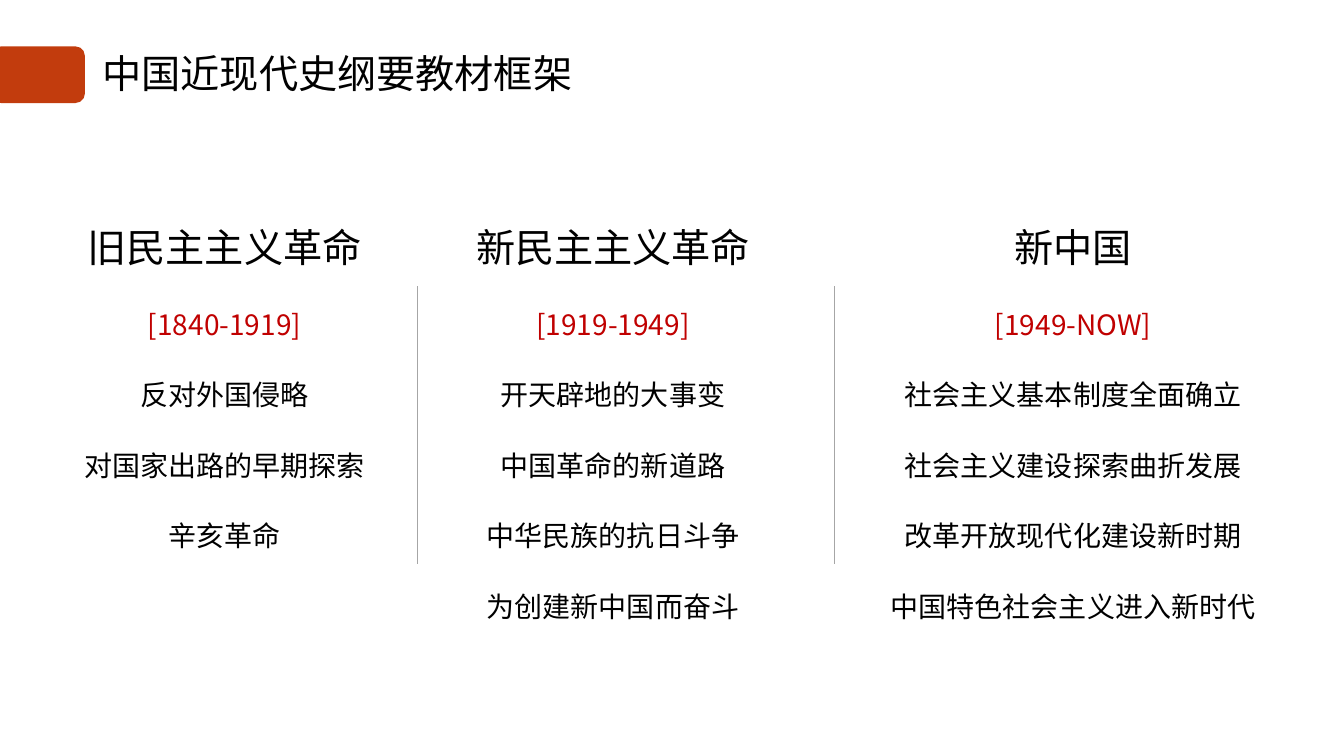
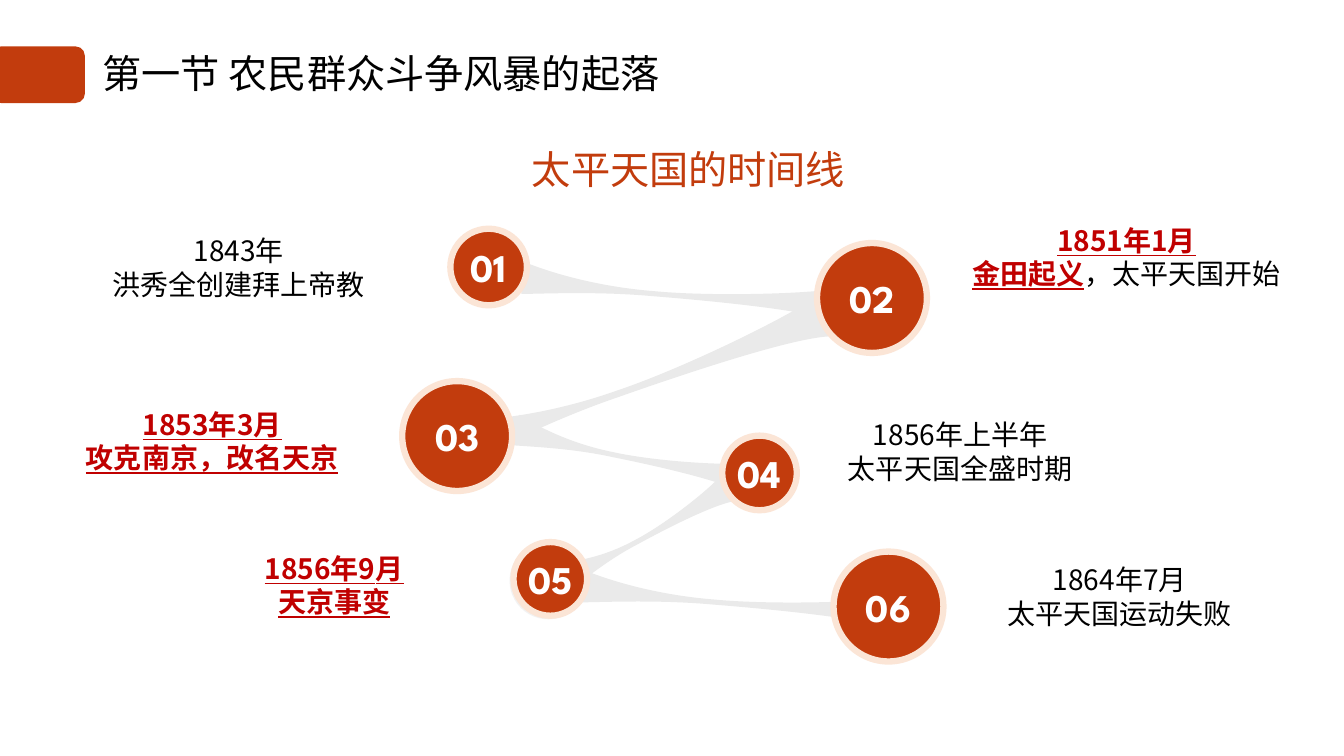
import pptx
import pptx.dml.color
import pptx.enum.shapes
import pptx.enum.text
import pptx.oxml.ns
import pptx.util
from lxml import etree

Pt = pptx.util.Pt
qn = pptx.oxml.ns.qn
RGBColor = pptx.dml.color.RGBColor
Shape = pptx.enum.shapes.MSO_SHAPE
Anchor = pptx.enum.text.MSO_ANCHOR
AutoSize = pptx.enum.text.MSO_AUTO_SIZE
CENTER = pptx.enum.text.PP_ALIGN.CENTER
LEFT = pptx.enum.text.PP_ALIGN.LEFT

RUST = RGBColor(0xC2, 0x3C, 0x0D)
PEACH = RGBColor(0xFB, 0xE5, 0xD6)
RED = RGBColor(0xC0, 0x00, 0x00)
BLACK = RGBColor(0x00, 0x00, 0x00)
WHITE = RGBColor(0xFF, 0xFF, 0xFF)
PALE_GRAY = RGBColor(0xF2, 0xF2, 0xF2)
RIBBON_GRAY = RGBColor(0xEA, 0xEA, 0xEA)
DIVIDER_GRAY = RGBColor(0xA6, 0xA6, 0xA6)

HAN_FONT = "Noto Sans CJK SC"
HEADING = {"size": Pt(28), "name": HAN_FONT, "color": BLACK}
SUBTITLE = HEADING | {"color": RUST}
BODY = HEADING | {"size": Pt(20)}
PERIOD = BODY | {"color": RED}
KEY = PERIOD | {"bold": True, "underline": True}
NUMBER = {"size": Pt(28), "name": "League Spartan", "color": WHITE, "bold": True}

ZERO_INSETS = dict.fromkeys(("margin_left", "margin_top", "margin_right", "margin_bottom"), 0)
LABEL_FRAME = ZERO_INSETS | {"word_wrap": True, "vertical_anchor": Anchor.MIDDLE}
NODE_FRAME = LABEL_FRAME | {"word_wrap": False}
TITLE_FRAME = {"word_wrap": True, "vertical_anchor": Anchor.MIDDLE}
GROWING_FRAME = {"word_wrap": True, "auto_size": AutoSize.SHAPE_TO_FIT_TEXT}

PAGE_WIDTH, PAGE_HEIGHT = 960, 540
COLUMNS_BOX = (0, 118.8, PAGE_WIDTH, 333)
TIMELINE_BOX = (0, 100, PAGE_WIDTH, 380)

COLUMNS = [
    (30.8, 259.2, 282.2, "旧民主主义革命", "[1840-1919]",
     ["反对外国侵略", "对国家出路的早期探索", "辛亥革命"]),
    (308.3, 259.2, 332.6, "新民主主义革命", "[1919-1949]",
     ["开天辟地的大事变", "中国革命的新道路", "中华民族的抗日斗争", "为创建新中国而奋斗"]),
    (627.9, 277.2, 332.6, "新中国", "[1949-NOW]",
     ["社会主义基本制度全面确立", "社会主义建设探索曲折发展",
      "改革开放现代化建设新时期", "中国特色社会主义进入新时代"]),
]
DIVIDER_STEP = 298.1

RIBBONS = [
    (528.1, 328.4, 223.9, 23, 4.9),
    (461.9, 279.8, 136.1, 22.3, -28.1),
    (451.4, 224.4, 168.5, 22.3, 11.8),
    (484.9, 108.1, 223.9, 23, 4.9),
    (460.1, 170.4, 269.3, 29.5, -19.1),
]
RIBBON_TOP = [(0, 0), (0.11, 0.33), (0.26, 0.57), (0.42, 0.56), (0.59, 0.58), (0.89, 0.27), (1, 0)]
RIBBON_BOTTOM = [(1, 1), (0.9, 0.73), (0.58, 0.71), (0.42, 0.72), (0.25, 0.71), (0.09, 0.91), (0, 1)]

NODES = [
    (321.7, 63.4, 54.7),
    (583.6, 73.6, 78.5),
    (287.3, 172.2, 78.5),
    (515.9, 211.2, 53.3),
    (366.8, 287.2, 52.6),
    (595.4, 294, 78.5),
]
BACKING = (365, 288.1, 53.3)
LABELS = [
    (57.2, 57, 226.8, 67.7, [[("1843年", BODY)], [("洪秀全创建拜上帝教", BODY)]]),
    (668.2, 65.1, 272.9, 36.7, [[("1851年1月", KEY)], [("金田起义", KEY), ("，太平天国开始", BODY)]]),
    (567.1, 193.6, 237.6, 57.6, [[("1856年上半年", BODY)], [("太平天国全盛时期", BODY)]]),
    (685.8, 307.4, 228.2, 36.7, [[("1864年7月", BODY)], [("太平天国运动失败", BODY)]]),
    (110.2, 299.4, 257, 36.7, [[("1856年9月", KEY)], [("天京事变", KEY)]]),
    (25.6, 196.4, 252, 36.7, [[("1853年3月", KEY)], [("攻克南京，改名天京", KEY)]]),
]


def points(*lengths):
    """Turn plain numbers into point lengths."""
    return [Pt(length) for length in lengths]


def apply(target, values):
    """Set every attribute named in a dict of format values."""
    for name, value in values.items():
        if name == "color":
            target.color.rgb = value
        else:
            setattr(target, name, value)


def write(shape, paragraphs, frame, align=CENTER, spacing=1.0):
    """Fill a shape with paragraphs, each a list of text and style pairs."""
    apply(shape.text_frame, frame)
    for index, spans in enumerate(paragraphs):
        para = shape.text_frame.add_paragraph() if index else shape.text_frame.paragraphs[0]
        apply(para, {"alignment": align, "line_spacing": spacing})
        for text, style in spans:
            span = para.add_run()
            span.text = text
            apply(span.font, style)
            east_asian = etree.SubElement(span.font._element, qn("a:ea"))
            east_asian.set("typeface", style["name"])


def add_text(page, box, paragraphs, frame, **layout):
    """Add a text box."""
    write(page.shapes.add_textbox(*points(*box)), paragraphs, frame, **layout)


def paint(shape, fill, outline=None, weight=0):
    """Give a shape a flat fill and an optional outline."""
    shape.shadow.inherit = False
    shape.fill.solid()
    shape.fill.fore_color.rgb = fill
    if outline is None:
        shape.line.fill.background()
    else:
        apply(shape.line, {"color": outline, "width": Pt(weight)})


def add_divider(page, x, top, bottom):
    """Add a thin vertical line."""
    line = page.shapes.add_connector(
        pptx.enum.shapes.MSO_CONNECTOR.STRAIGHT, *points(x, top, x, bottom))
    apply(line.line, {"color": DIVIDER_GRAY, "width": Pt(0.5)})
    etree.SubElement(line._element.spPr, qn("a:effectLst"))


def add_page(deck, title):
    """Add a blank page with the shared tab and title."""
    page = deck.slides.add_slide(deck.slide_layouts[6])
    tab = page.shapes.add_shape(Shape.ROUNDED_RECTANGLE, *points(-5.8, 33.1, 66.5, 40.5))
    paint(tab, RUST)
    add_text(page, (66.2, 28.8, 828, 51.1), [[(title, HEADING)]], TITLE_FRAME,
             align=LEFT, spacing=0.9)
    return page


def add_columns(page, box):
    """Place the three periods and the lines between them."""
    left, top, _, _ = box
    for offset, width, height, heading, period, topics in COLUMNS:
        paragraphs = [[(heading, HEADING)], [(period, PERIOD)]]
        paragraphs += [[(topic, BODY)] for topic in topics]
        add_text(page, (left + offset, top, width, height), paragraphs,
                 GROWING_FRAME, spacing=2.1)
    for index in range(1, len(COLUMNS)):
        add_divider(page, left + index * DIVIDER_STEP, top + 85.7, top + 284.4)


def bend(segments):
    """Merge each three straight segments into one cubic curve."""
    for first in range(0, len(segments), 3):
        start, *others = segments[first:first + 3]
        cubic = etree.Element(qn("a:cubicBezTo"))
        start.getparent().replace(start, cubic)
        cubic.append(start[0])
        for segment in others:
            cubic.append(segment[0])
            segment.getparent().remove(segment)


def add_ribbon(page, box, angle):
    """Add a curved band, narrow in the middle, turned by an angle."""
    left, top, width, height = box
    outline = [points(left + x * width, top + y * height) for x, y in RIBBON_TOP + RIBBON_BOTTOM]
    builder = page.shapes.build_freeform(*outline[0], scale=1.0)
    builder.add_line_segments(outline[1:], close=True)
    ribbon = builder.convert_to_shape()
    segments = list(ribbon._element.iter(qn("a:lnTo")))
    bend(segments[:len(RIBBON_TOP) - 1])
    bend(segments[len(RIBBON_TOP):])
    ribbon.rotation = angle
    paint(ribbon, RIBBON_GRAY)


def add_disc(page, left, top, diameter, *finish):
    """Add a painted circle."""
    disc = page.shapes.add_shape(Shape.OVAL, *points(left, top, diameter, diameter))
    paint(disc, *finish)
    return disc


def add_timeline(page, box):
    """Place the subtitle, ribbons, numbered circles and event labels."""
    left, top, _, _ = box
    for x, y, length, thickness, angle in RIBBONS:
        band = (left + x - length / 2, top + y - thickness / 2, length, thickness)
        add_ribbon(page, band, angle)
    x, y, diameter = BACKING
    add_disc(page, left + x, top + y, diameter, WHITE, PALE_GRAY, 2)
    for number, (x, y, diameter) in enumerate(NODES, 1):
        node = add_disc(page, left + x, top + y, diameter, RUST, PEACH, 4.5)
        write(node, [[(f"{number:02d}", NUMBER)]], NODE_FRAME)
    for x, y, width, height, paragraphs in LABELS:
        add_text(page, (left + x, top + y, width, height), paragraphs, LABEL_FRAME)
    add_text(page, (left + 287.3, top, 409, 41), [[("太平天国的时间线", SUBTITLE)]], GROWING_FRAME)


def main():
    """Build and save the deck."""
    deck = pptx.Presentation()
    apply(deck, {"slide_width": Pt(PAGE_WIDTH), "slide_height": Pt(PAGE_HEIGHT)})
    add_columns(add_page(deck, "中国近现代史纲要教材框架"), COLUMNS_BOX)
    add_timeline(add_page(deck, "第一节 农民群众斗争风暴的起落"), TIMELINE_BOX)
    deck.save("out.pptx")


if __name__ == "__main__":
    main()
